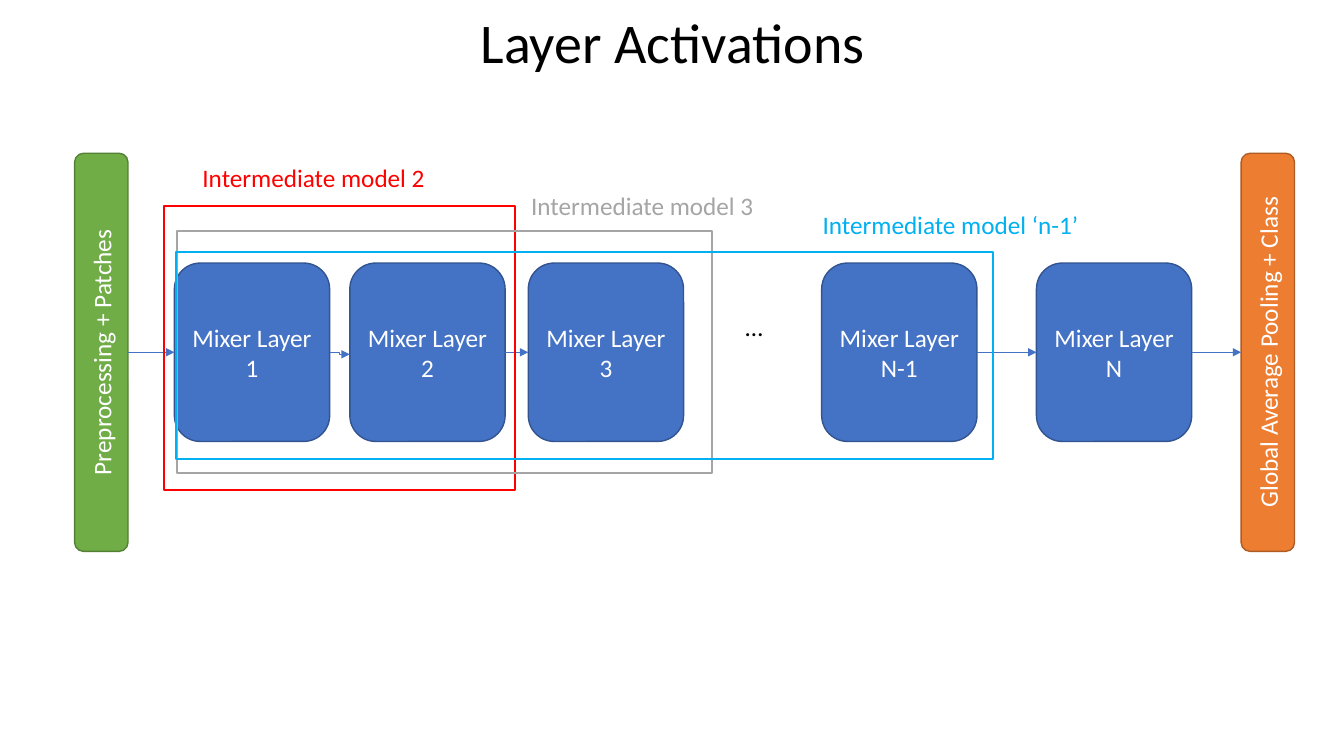
from pptx import Presentation
from pptx import util as u
from pptx.dml.color import RGBColor
from pptx.enum import shapes, text
from pptx.oxml import parse_xml
from pptx.oxml.ns import nsdecls, qn

PX = 9144
FONT = "Calibri"
COLORS = {
    "black": "000000", "white": "FFFFFF",
    "blue": "4472C4", "blue_edge": "325491",
    "green": "70AD47", "green_edge": "538035",
    "orange": "ED7D31", "orange_edge": "AF5C24",
    "red": "FF0000", "gray": "A5A5A5", "cyan": "00B0F0",
}
MIXERS = [("1", 173), ("2", 347), ("3", 524), ("N-1", 815), ("N", 1028)]
MODELS = [
    ("2", "red", (163, 204, 348, 282), (191, 156, 273, 46)),
    ("3", "gray", (176, 229, 530, 240), (517, 184, 273, 46)),
    ("‘n-1’", "cyan", (175, 250, 810, 205), (806, 203, 325, 46)),
]


def color(name):
    return RGBColor.from_string(COLORS[name])


def px(*lengths):
    return [round(length * PX) for length in lengths]


def write(shape, wording, ink, size=18, align=text.PP_ALIGN.CENTER):
    frame = shape.text_frame
    frame.word_wrap = True
    frame.text = wording
    paragraph = frame.paragraphs[0]
    paragraph.alignment = align
    font = paragraph.runs[0].font
    font.name, font.size = FONT, u.Pt(size)
    font.color.rgb = color(ink)
    return frame


def add_title(slide, box):
    title = slide.shapes.title
    title.left, title.top, title.width, title.height = px(*box)
    frame = write(title, "Layer Activations", "black", 40)
    frame.auto_size = text.MSO_AUTO_SIZE.NONE
    frame.vertical_anchor = text.MSO_ANCHOR.BOTTOM
    frame.paragraphs[0].line_spacing = 0.9


def add_label(slide, box, wording, ink, align):
    label = slide.shapes.add_textbox(*px(*box))
    write(label, wording, ink, align=align)


def add_block(slide, box, wording, hue):
    block = slide.shapes.add_shape(shapes.MSO_SHAPE.ROUNDED_RECTANGLE, *px(*box))
    block.shadow.inherit = False
    block.fill.solid()
    block.fill.fore_color.rgb = color(hue)
    block.line.color.rgb = color(hue + "_edge")
    block.line.width = u.Pt(1)
    write(block, wording, "white").vertical_anchor = text.MSO_ANCHOR.MIDDLE
    return block


def add_bar(slide, box, wording, hue):
    left, top, width, height = box
    shift = (height - width) / 2
    bar = add_block(slide, (left - shift, top + shift, height, width), wording, hue)
    bar.rotation = 270
    return bar


def add_arrow(slide, kind, start, end):
    arrow = slide.shapes.add_connector(kind, *px(*start, *end))
    arrow.line.color.rgb = color("blue")
    arrow.line.width = u.Pt(0.5)
    arrow.line._get_or_add_ln().append(
        parse_xml(f'<a:tailEnd {nsdecls("a")} type="triangle"/>'))
    arrow._element.find(qn("p:spPr")).append(
        parse_xml(f'<a:effectLst {nsdecls("a")}/>'))
    return arrow


def join(slide, source, source_site, target, target_site, start, end):
    arrow = add_arrow(slide, shapes.MSO_CONNECTOR.STRAIGHT, start, end)
    arrow.begin_connect(source, source_site)
    arrow.end_connect(target, target_site)
    arrow.begin_x, arrow.begin_y = px(*start)
    arrow.end_x, arrow.end_y = px(*end)


def add_pipeline(slide, box):
    left, top, width, height = box
    bar_width, mixer_width, mixer_height = 53, 154, 177
    middle = top + height / 2
    right_bar = left + width - bar_width
    preprocessing = add_bar(slide, (left, top, bar_width, height),
                            "Preprocessing + Patches", "green")
    mixers = {
        name: add_block(slide, (x, middle - mixer_height / 2, mixer_width, mixer_height),
                        f"Mixer Layer {name}", "blue")
        for name, x in MIXERS
    }
    add_label(slide, (706, 304, 84, 58), "…", "black", text.PP_ALIGN.CENTER)
    pooling = add_bar(slide, (right_bar, top, bar_width, height),
                      "Global Average Pooling + Class", "orange")

    lefts = dict(MIXERS)
    rights = {name: x + mixer_width for name, x in MIXERS}
    links = [
        (preprocessing, 2, mixers["1"], 1, left + bar_width, lefts["1"]),
        (mixers["2"], 3, mixers["3"], 1, rights["2"], lefts["3"]),
        (mixers["N-1"], 3, mixers["N"], 1, rights["N-1"], lefts["N"]),
        (mixers["N"], 3, pooling, 0, rights["N"], right_bar),
    ]
    for source, source_site, target, target_site, start, end in links:
        join(slide, source, source_site, target, target_site,
             (start, middle), (end, middle))
    add_arrow(slide, shapes.MSO_CONNECTOR.ELBOW,
              (rights["1"], middle), (lefts["2"], middle + 2))


def add_model(slide, box, label_box, name, hue):
    outline = slide.shapes.add_shape(shapes.MSO_SHAPE.RECTANGLE, *px(*box))
    outline.shadow.inherit = False
    outline.fill.background()
    outline.line.color.rgb = color(hue)
    outline.line.width = u.Pt(1.5)
    add_label(slide, label_box, f"Intermediate model {name}", hue, text.PP_ALIGN.LEFT)


def main():
    presentation = Presentation()
    presentation.slide_width, presentation.slide_height = px(1333, 750)
    slide = presentation.slides.add_slide(presentation.slide_layouts[5])
    add_title(slide, (167, 15, 1000, 65))
    add_pipeline(slide, (74, 152, 1210, 395))
    for name, hue, box, label_box in MODELS:
        add_model(slide, box, label_box, name, hue)
    presentation.save("out.pptx")


if __name__ == "__main__":
    main()
